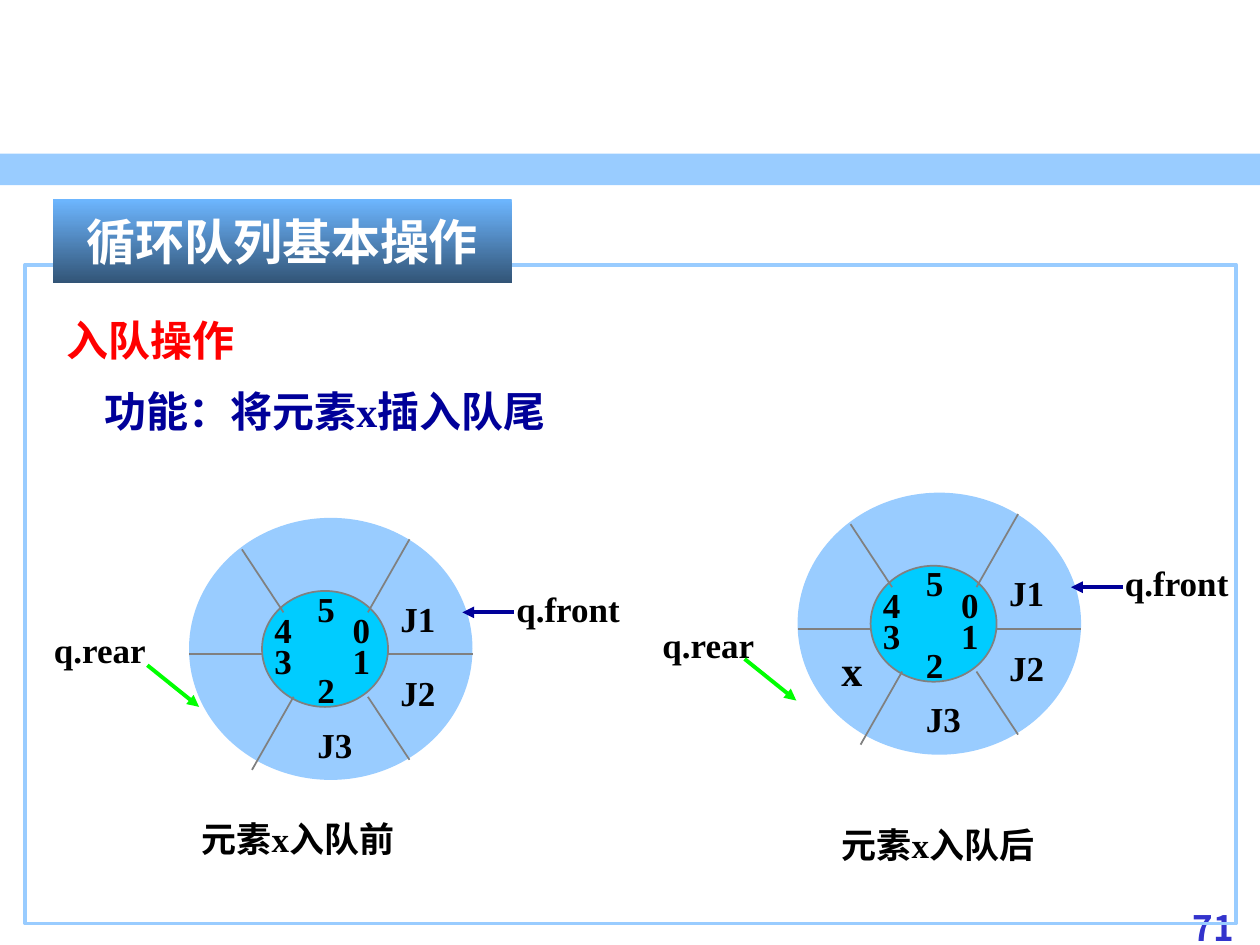
import pptx
import pptx.util
import pptx.dml.color
import pptx.enum.dml
import pptx.enum.shapes
import pptx.enum.text
import pptx.oxml
import pptx.oxml.ns
from pptx.util import Inches

SHAPE = pptx.enum.shapes.MSO_SHAPE
ALIGN = pptx.enum.text.PP_ALIGN
AUTO_SIZE = pptx.enum.text.MSO_AUTO_SIZE
SERIF = "Times New Roman"
SKY, CYAN, GRAY, NAVY, GREEN = "99CCFF", "00CCFF", "808080", "000099", "00FF00"

SPOKES = [
    (2.08, 5.19, 1.5, 5.19), (3.08, 5.19, 3.75, 5.19),
    (1.92, 4.36, 2.25, 4.86), (3.25, 4.28, 2.92, 4.86),
    (2.92, 5.53, 3.25, 6.03), (2.33, 5.53, 2, 6.11),
]
RING_LABELS = [
    ("5", 2.42, 4.61, 0.75), ("4\t0", 2.08, 4.78, 1.5),
    ("3\t1", 2.08, 5.03, 1.5), ("2", 2.42, 5.26, 0.5),
    ("J1", 3.08, 4.69, 0.58), ("J2", 3.08, 5.28, 0.58),
    ("J3", 2.42, 5.69, 0.58), ("q.front", 4, 4.61, 1.33),
]


def rgb(value):
    return pptx.dml.color.RGBColor.from_string(value)


def add_xml(parent, tag, **attrs):
    e = pptx.oxml.parse_xml(f"<a:{tag} {pptx.oxml.ns.nsdecls('a')}/>")
    for key, value in attrs.items():
        e.set(key, str(value))
    parent.append(e)
    return e


def write(p, text, color="000000", size=20, font=SERIF):
    r = p.add_run()
    r.text = text
    formats = {"name": font, "size": pptx.util.Pt(size), "bold": True}
    for key, value in formats.items():
        setattr(r.font, key, value)
    r.font.color.rgb = rgb(color)
    if font != SERIF:
        add_xml(r.font._element, "ea", typeface=font)


def add_box(s, x, y, w, h):
    sp = s.shapes.add_textbox(Inches(x), Inches(y), Inches(w), Inches(h))
    sp.text_frame.word_wrap = True
    return sp.text_frame


def add_label(s, text, x, y, w, h=0.44, size=20):
    tf = add_box(s, x, y, w, h)
    tf.auto_size = AUTO_SIZE.SHAPE_TO_FIT_TEXT
    p = tf.paragraphs[0]
    if "\t" in text:
        tabs = add_xml(p._p.get_or_add_pPr(), "tabLst")
        add_xml(tabs, "tab", pos=Inches(0.62), algn="l")
    write(p, text, size=size)


def add_figure(s, kind, x, y, w, h, fill=None, line=None, width=1):
    sp = s.shapes.add_shape(kind, Inches(x), Inches(y), Inches(w), Inches(h))
    sp.shadow.inherit = False
    if fill:
        sp.fill.solid()
        sp.fill.fore_color.rgb = rgb(fill)
    else:
        sp.fill.background()
    if line:
        sp.line.color.rgb = rgb(line)
        sp.line.width = pptx.util.Pt(width)
    else:
        sp.line.fill.background()


def add_line(s, x1, y1, x2, y2, color=GRAY, width=1, arrow=False):
    c = s.shapes.add_connector(pptx.enum.shapes.MSO_CONNECTOR.STRAIGHT,
                               Inches(x1), Inches(y1), Inches(x2), Inches(y2))
    c.line.color.rgb = rgb(color)
    c.line.width = pptx.util.Pt(width)
    sp_pr = c.element.spPr
    if arrow:
        add_xml(sp_pr.find(pptx.oxml.ns.qn("a:ln")), "tailEnd", type="triangle")
    add_xml(sp_pr, "effectLst")


def add_queue(s, dx, dy):
    add_figure(s, SHAPE.OVAL, 1.5 + dx, 4.11 + dy, 2.25, 2.08, SKY)
    add_figure(s, SHAPE.OVAL, 2.08 + dx, 4.69 + dy, 1, 0.92, CYAN, GRAY)
    for x1, y1, x2, y2 in SPOKES:
        add_line(s, x1 + dx, y1 + dy, x2 + dx, y2 + dy)
    for text, x, y, w in RING_LABELS:
        add_label(s, text, x + dx, y + dy, w)
    add_line(s, 4.08 + dx, 4.86 + dy, 3.67 + dx, 4.86 + dy, NAVY, 2.25, True)


def add_rear(s, label_x, label_y, x, y):
    add_label(s, "q.rear", label_x, label_y, 1.17)
    add_line(s, x, y, x + 0.41, y + 0.33, GREEN, 2.25, True)


def add_title(s, text):
    sp = s.shapes.title
    box = {"left": 0.42, "top": 1.58, "width": 3.64, "height": 0.67}
    for key, value in box.items():
        setattr(sp, key, Inches(value))
    sp.fill.gradient()
    sp.fill.gradient_angle = 270
    for stop, color, position in zip(sp.fill.gradient_stops, ("6DB6FF", "325476"), (0, 1)):
        stop.color.rgb = rgb(color)
        stop.position = position
    tf = sp.text_frame
    tf.auto_size = AUTO_SIZE.NONE
    tf.vertical_anchor = pptx.enum.text.MSO_ANCHOR.MIDDLE
    p = tf.paragraphs[0]
    p.alignment = ALIGN.CENTER
    write(p, text, "FFFFFF", 28, "Noto Sans CJK KR")
    s.shapes.element.append(sp.element)


def add_description(s):
    tf = add_box(s, 0.43, 2.29, 4.8, 1.22)
    tf.auto_size = AUTO_SIZE.SHAPE_TO_FIT_TEXT
    heading, detail = tf.paragraphs[0], tf.add_paragraph()
    heading.line_spacing = detail.line_spacing = 1.4
    detail._p.get_or_add_pPr().set("marL", str(Inches(0.3)))
    write(heading, "入队操作", "FF0000", 24)
    write(detail, "功能：将元素x插入队尾", NAVY, 24)


def add_page_number(s, text):
    p = add_box(s, 8.94, 6.98, 0.95, 0.52).paragraphs[0]
    p.alignment = ALIGN.RIGHT
    p.line_spacing = 1.5
    write(p, text, "3333CC", 20, "Noto Sans CJK SC")


def main():
    prs = pptx.Presentation()
    prs.slide_width, prs.slide_height = Inches(10), Inches(7.5)
    s = prs.slides.add_slide(prs.slide_layouts[5])
    add_figure(s, SHAPE.RECTANGLE, 0, 1.22, 10.01, 0.25, SKY)
    add_page_number(s, "71")
    add_rear(s, 0.33, 4.94, 1.17, 5.28)
    add_rear(s, 5.16, 4.9, 5.91, 5.23)
    add_queue(s, 0, 0)
    add_queue(s, 4.83, -0.2)
    add_label(s, "元素x入队前", 1.5, 6.44, 2.08)
    add_label(s, "元素x入队后", 6.58, 6.49, 2.33)
    add_figure(s, SHAPE.RECTANGLE, 0.2, 2.1, 9.61, 5.23, line=SKY, width=2.25)
    add_title(s, "循环队列基本操作")
    add_description(s)
    add_label(s, "x", 6.58, 5.07, 0.58, 0.5, 24)
    prs.save("out.pptx")


if __name__ == "__main__":
    main()
